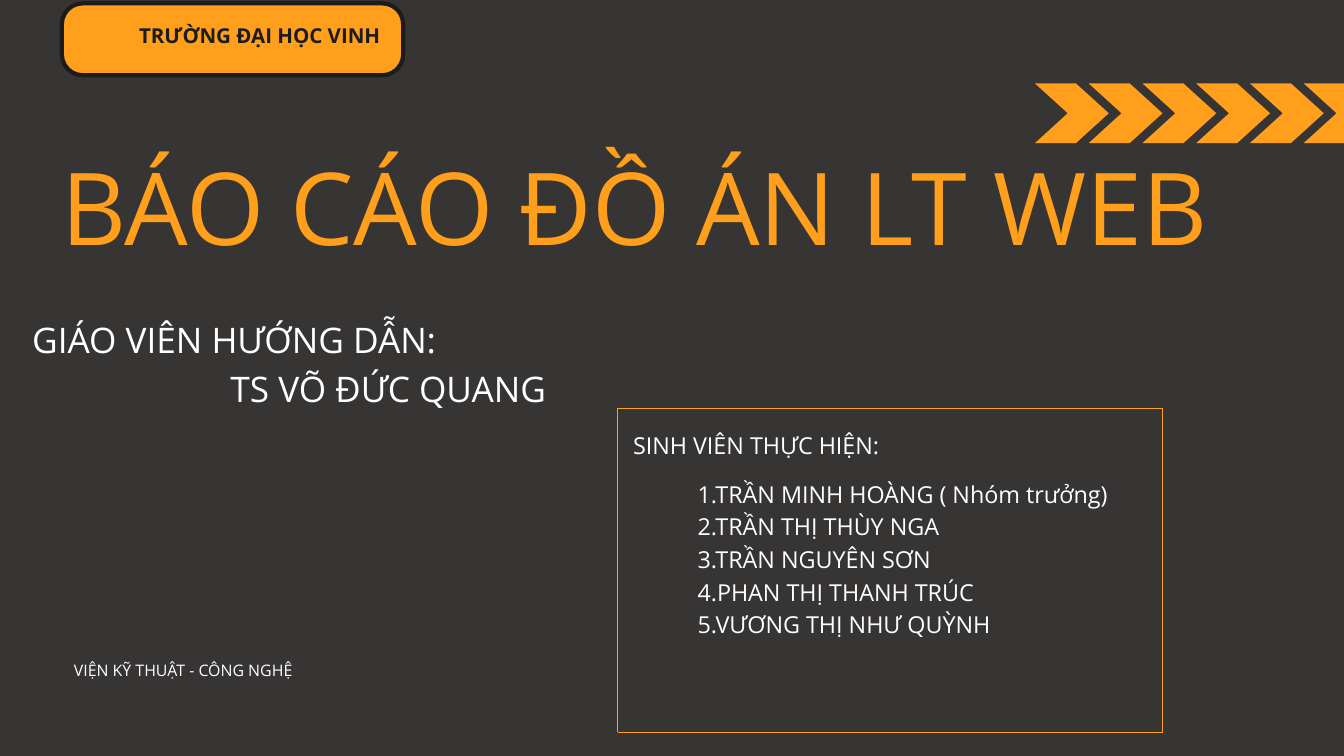
"""Build the title slide of a web programming project report."""
from lxml import etree
from pptx import Presentation
from pptx.dml.color import RGBColor
from pptx.enum.shapes import MSO_CONNECTOR, MSO_SHAPE
from pptx.oxml.ns import qn
from pptx.util import Inches, Pt

STRAIGHT = MSO_CONNECTOR.STRAIGHT
CHEVRON = MSO_SHAPE.CHEVRON
ROUNDED = MSO_SHAPE.ROUNDED_RECTANGLE

CHARCOAL = RGBColor(0x37, 0x34, 0x34)
ORANGE = RGBColor(0xFF, 0x9F, 0x1C)
BLACK = RGBColor(0x1C, 0x1C, 0x1C)
WHITE = RGBColor(0xFF, 0xFF, 0xFF)
FONT = "Open Sans"

SCHOOL = "TRƯỜNG ĐẠI HỌC VINH"
TITLE = "BÁO CÁO ĐỒ ÁN LT WEB"
ADVISOR = ["GIÁO VIÊN HƯỚNG DẪN:", "TS VÕ ĐỨC QUANG"]
TEAM_HEADING = "SINH VIÊN THỰC HIỆN:"
TEAM = [
    "1.TRẦN MINH HOÀNG ( Nhóm trưởng)",
    "2.TRẦN THỊ THÙY NGA",
    "3.TRẦN NGUYÊN SƠN",
    "4.PHAN THỊ THANH TRÚC",
    "5.VƯƠNG THỊ NHƯ QUỲNH",
]
INSTITUTE = "VIỆN KỸ THUẬT - CÔNG NGHỆ"

CHEVRONS, CHEVRON_LEFT, CHEVRON_STEP = 6, 15.4, 0.8
FRAME_LEFT, FRAME_TOP, FRAME_RIGHT, FRAME_BOTTOM = 9.19, 6.07, 17.3, 10.9


def add_text(s, lines, box, size, spacing, color=WHITE, bold=False, indents=()):
    tf = s.shapes.add_textbox(*map(Inches, box)).text_frame
    tf.word_wrap = True
    tf.margin_left = tf.margin_right = tf.margin_top = tf.margin_bottom = 0
    for i, line in enumerate(lines):
        p = tf.paragraphs[0] if i == 0 else tf.add_paragraph()
        p.line_spacing = Pt(spacing)
        if i < len(indents):
            p._p.get_or_add_pPr().set("marL", str(Inches(indents[i])))
        r = p.add_run()
        r.text = line
        r.font.name = FONT
        r.font.size = Pt(size)
        r.font.bold = bold
        r.font.color.rgb = color


def add_block(s, shape, box, adjustment):
    sp = s.shapes.add_shape(shape, *map(Inches, box))
    sp.adjustments[0] = adjustment
    sp.shadow.inherit = False
    sp.fill.solid()
    sp.fill.fore_color.rgb = ORANGE
    sp.line.fill.background()
    return sp


def add_frame(s):
    corners = [(FRAME_LEFT, FRAME_TOP), (FRAME_RIGHT, FRAME_TOP),
               (FRAME_RIGHT, FRAME_BOTTOM), (FRAME_LEFT, FRAME_BOTTOM)]
    for start, end in zip(corners, corners[1:] + corners[:1]):
        line = s.shapes.add_connector(STRAIGHT, *map(Inches, start + end))
        line.line.color.rgb = ORANGE
        line.line.width = Pt(0.75)
        etree.SubElement(line._element.spPr, qn("a:effectLst"))


def main():
    prs = Presentation()
    prs.slide_width, prs.slide_height = Inches(20), Inches(11.25)
    s = prs.slides.add_slide(prs.slide_layouts[6])
    s.background.fill.solid()
    s.background.fill.fore_color.rgb = CHARCOAL

    add_text(s, ADVISOR, (0.48, 4.63, 8.93, 1.43), 37.7, 52.7, indents=(0, 2.95))
    add_text(s, [TITLE], (0.92, 2.45, 18.04, 1.56), 107.7, 107.7, color=ORANGE)
    add_text(s, [TEAM_HEADING], (9.42, 6.34, 4.26, 0.46), 25, 35)
    add_text(s, [INSTITUTE], (1.1, 9.79, 3.98, 0.63), 17, 23.8)

    for i in range(CHEVRONS):
        left = CHEVRON_LEFT + i * CHEVRON_STEP
        add_block(s, CHEVRON, (left, 1.24, 1.1, 0.89), 0.55)
    add_frame(s)

    badge = add_block(s, ROUNDED, (0.92, 0.05, 5.08, 1.07), 0.29)
    badge.line.color.rgb = BLACK
    badge.line.width = Pt(4.5)
    add_text(s, [SCHOOL], (2.07, 0.4, 3.94, 0.31), 22, 22, color=BLACK, bold=True)
    add_text(s, TEAM, (10.38, 7.07, 6.29, 2.45), 25, 35)

    prs.save("out.pptx")


if __name__ == "__main__":
    main()
